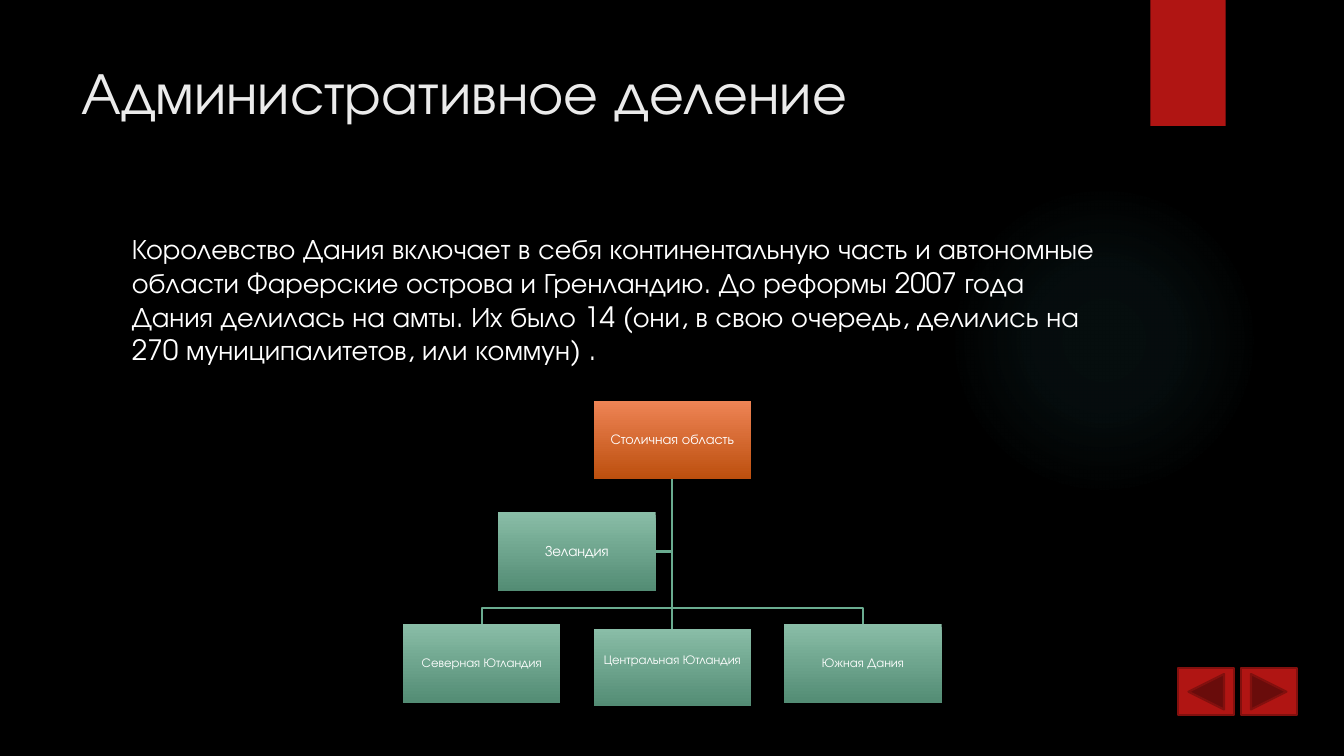
from lxml import etree
from pptx import Presentation
from pptx.dml.color import RGBColor
from pptx.enum import shapes, text
from pptx.oxml import ns
from pptx.util import Pt

FONT = "TeX Gyre Adventor"
BLACK = RGBColor(0x00, 0x00, 0x00)
WHITE = RGBColor(0xFF, 0xFF, 0xFF)
PALE = RGBColor(0xEB, 0xEB, 0xEB)
RED = RGBColor(0xB0, 0x15, 0x13)
DARK_RED = RGBColor(0x82, 0x10, 0x0E)
LINE_GREEN = RGBColor(0x6A, 0xAC, 0x90)
ORANGES = RGBColor(0xEE, 0x84, 0x55), RGBColor(0xBC, 0x4F, 0x0E)
GREENS = RGBColor(0x89, 0xBD, 0xA7), RGBColor(0x53, 0x8C, 0x74)
GLOW_STOPS = [(0, "50B9C1", 7), (36, "50B9C1", 6), (69, "50B9C1", 0)]

TITLE = "Административное деление"
BODY = (
    "Королевство Дания включает в себя континентальную часть и автономные "
    "области Фарерские острова и Гренландию. До реформы 2007 года Дания "
    "делилась на\u00a0амты. Их было 14 (они, в свою очередь, делились на "
    "270 муниципалитетов, или коммун) ."
)

CENTER = 480.2
SPACING = 136.2
BOX_W, BOX_H = 112.5, 56.2
BRANCH_Y = 434.2
REGIONS = {
    "capital": ("Столичная\u00a0область", 0, 286.2, BOX_H, 10, ORANGES, 0.5),
    "north": ("Северная\u00a0Ютландия", -1, 445.8, BOX_H, 9, GREENS, 0.5),
    "central": ("Центральная\u00a0Ютландия", 0, 449.3, 55.2, 9, GREENS, 11),
    "south": ("Южная\u00a0Дания", 1, 445.8, BOX_H, 9, GREENS, 0.5),
    "zealand": ("Зеландия", -0.5, 365.8, BOX_H, 10.5, GREENS, 0.5),
}
BUTTONS = [
    (shapes.MSO_SHAPE.ACTION_BUTTON_FORWARD_OR_NEXT, 886.3),
    (shapes.MSO_SHAPE.ACTION_BUTTON_BACK_OR_PREVIOUS, 841.7),
]

deck = Presentation()
deck.slide_width, deck.slide_height = Pt(960), Pt(540)
slide = deck.slides.add_slide(deck.slide_layouts[6])
slide.background.fill.solid()
slide.background.fill.fore_color.rgb = BLACK


def add_block(kind, left, top, width, height, color=None):
    block = slide.shapes.add_shape(kind, Pt(left), Pt(top), Pt(width), Pt(height))
    block.shadow.inherit = False
    block.line.fill.background()
    if color is None:
        block.fill.background()
    else:
        block.fill.solid()
        block.fill.fore_color.rgb = color
    return block


def write(paragraph, words, size, color):
    run = paragraph.add_run()
    run.text = words
    run.font.name, run.font.size = FONT, Pt(size)
    run.font.color.rgb = color


def add_copy(words, left, top, width, height, size, color, before=0):
    frame = slide.shapes.add_textbox(Pt(left), Pt(top), Pt(width), Pt(height)).text_frame
    frame.word_wrap = True
    frame.paragraphs[0].space_before = Pt(before)
    write(frame.paragraphs[0], words, size, color)


def add_glow():
    glow = add_block(shapes.MSO_SHAPE.OVAL, 677.5, 131.8, 221.8, 221.8)
    gradient = etree.Element(ns.qn("a:gradFill"), rotWithShape="1")
    stops = etree.SubElement(gradient, ns.qn("a:gsLst"))
    for position, color, opacity in GLOW_STOPS:
        stop = etree.SubElement(stops, ns.qn("a:gs"), pos=str(position * 1000))
        tint = etree.SubElement(stop, ns.qn("a:srgbClr"), val=color)
        etree.SubElement(tint, ns.qn("a:alpha"), val=str(opacity * 1000))
    circle = etree.SubElement(gradient, ns.qn("a:path"), {"path": "circle"})
    etree.SubElement(circle, ns.qn("a:fillToRect"), l="50000", t="50000", r="50000", b="50000")
    properties = glow.element.spPr
    properties.replace(properties.find(ns.qn("a:noFill")), gradient)


def add_region(words, column, top, height, size, colors, bottom_inset):
    left = CENTER + column * SPACING - BOX_W / 2
    region = add_block(shapes.MSO_SHAPE.RECTANGLE, left, top, BOX_W, height)
    region.fill.gradient()
    region.fill.gradient_angle = 270
    for stop, color, position in zip(region.fill.gradient_stops, colors, (0, 1)):
        stop.color.rgb, stop.position = color, position
    frame = region.text_frame
    frame.word_wrap = True
    frame.vertical_anchor = text.MSO_ANCHOR.MIDDLE
    frame.margin_left = frame.margin_right = frame.margin_top = Pt(0.5)
    frame.margin_bottom = Pt(bottom_inset)
    paragraph = frame.paragraphs[0]
    paragraph.alignment = text.PP_ALIGN.CENTER
    paragraph.line_spacing = 0.9
    write(paragraph, words, size, WHITE)
    return region


def style_line(line):
    line.color.rgb, line.width = LINE_GREEN, Pt(1.5)


def add_branch(points):
    start, *rest = [(Pt(x), Pt(y)) for x, y in points]
    builder = slide.shapes.build_freeform(*start)
    builder.add_line_segments(rest, close=False)
    branch = builder.convert_to_shape()
    branch.shadow.inherit = False
    branch.fill.background()
    style_line(branch.line)


add_glow()
add_block(shapes.MSO_SHAPE.RECTANGLE, 821.7, 0, 53.8, 90, RED)
add_copy(TITLE, 51.1, 36, 740.9, 110.2, 42, PALE)
add_copy(BODY, 87.1, 162, 704.2, 330.5, 20, WHITE, before=10)
for button_kind, button_left in BUTTONS:
    button = add_block(button_kind, button_left, 477.2, 39.9, 33.8, RED)
    button.line.color.rgb, button.line.width = DARK_RED, Pt(1.5)

root_bottom = REGIONS["capital"][2] + BOX_H
zealand_right = CENTER - SPACING / 2 + BOX_W / 2
zealand_middle = REGIONS["zealand"][2] + BOX_H / 2
add_branch([(CENTER, root_bottom), (CENTER, zealand_middle), (zealand_right, zealand_middle)])
for side in ("south", "north"):
    _, column, top, *_ = REGIONS[side]
    child_x = CENTER + column * SPACING
    add_branch([(CENTER, root_bottom), (CENTER, BRANCH_Y), (child_x, BRANCH_Y), (child_x, top)])

regions = {name: add_region(*details) for name, details in REGIONS.items()}
trunk = slide.shapes.add_connector(shapes.MSO_CONNECTOR.STRAIGHT, 0, 0, 0, 0)
trunk.begin_connect(regions["capital"], 2)
trunk.end_connect(regions["central"], 0)
style_line(trunk.line)
etree.SubElement(trunk.element.spPr, ns.qn("a:effectLst"))

deck.save("out.pptx")
